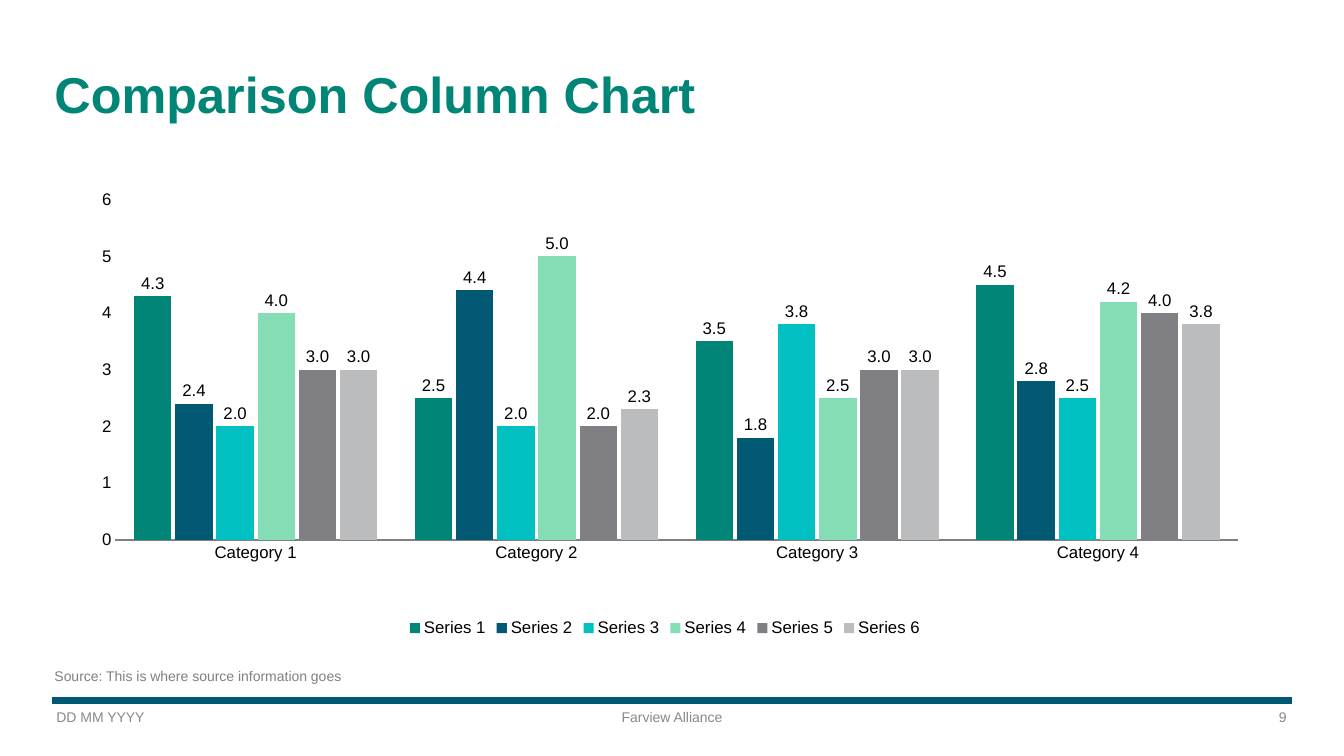
"""Build the Comparison Column Chart slide."""
import pptx
import pptx.chart.data
import pptx.dml.color
import pptx.enum.chart
import pptx.enum.shapes
import pptx.enum.text
import pptx.oxml
import pptx.oxml.ns
import pptx.util

Inches = pptx.util.Inches
Pt = pptx.util.Pt
RGB = pptx.dml.color.RGBColor.from_string
ALIGN = pptx.enum.text.PP_ALIGN
ANCHOR = pptx.enum.text.MSO_ANCHOR
XL = pptx.enum.chart

THEME = {
    "font": "Arial",
    "title": "008576",
    "rule": "005872",
    "footer": "898989",
    "source": "807F83",
    "axis": "808080",
    "chart_text": "000000",
    "series": ["008576", "005872", "00C0C2", "85DDB5", "807F83", "BABCBE"],
    "title_size": 36,
    "chart_size": 12,
    "small_size": 10,
}


def set_font(font, size, color, bold=False):
    values = {"name": THEME["font"], "size": Pt(size), "bold": bold}
    for name, value in values.items():
        setattr(font, name, value)
    font.color.rgb = RGB(color)


def add_text(s, text, box, size, color, align=ALIGN.LEFT, anchor=ANCHOR.TOP,
             insets=(0.05, 0.05, 0.05, 0.05), bold=False, spacing=1.0):
    tf = s.shapes.add_textbox(*map(Inches, box)).text_frame
    left, top, right, bottom = map(Inches, insets)
    frame_format = {
        "word_wrap": True, "vertical_anchor": anchor,
        "margin_left": left, "margin_top": top,
        "margin_right": right, "margin_bottom": bottom,
    }
    for name, value in frame_format.items():
        setattr(tf, name, value)
    p = tf.paragraphs[0]
    p.alignment = align
    p.line_spacing = spacing
    r = p.add_run()
    r.text = text
    set_font(r.font, size, color, bold)


prs = pptx.Presentation()
prs.slide_width = Inches(13.33)
prs.slide_height = Inches(7.5)
s = prs.slides.add_slide(prs.slide_layouts[6])

footers = [
    ("DD MM YYYY", 0.51, ALIGN.LEFT),
    ("Farview Alliance", 5.02, ALIGN.CENTER),
    ("9", 9.52, ALIGN.RIGHT),
]
for text, left, align in footers:
    add_text(s, text, (left, 6.98, 3.29, 0.27), THEME["small_size"],
             THEME["footer"], align)

rule = s.shapes.add_connector(
    pptx.enum.shapes.MSO_CONNECTOR.STRAIGHT,
    Inches(0.52), Inches(6.95), Inches(12.81), Inches(6.95))
rule.line.color.rgb = RGB(THEME["rule"])
rule.line.width = Pt(5.5)
pptx.oxml.ns.qn("a:effectLst")
rule._element.spPr.append(pptx.oxml.parse_xml(
    f"<a:effectLst {pptx.oxml.ns.nsdecls('a')}/>"))

add_text(s, "Comparison Column Chart", (0.49, 0.19, 12.29, 1.1),
         THEME["title_size"], THEME["title"], anchor=ANCHOR.BOTTOM,
         bold=True, spacing=0.95)

data = pptx.chart.data.CategoryChartData(number_format="General")
data.categories = [f"Category {n}" for n in range(1, 5)]
series_values = [
    (4.3, 2.5, 3.5, 4.5),
    (2.4, 4.4, 1.8, 2.8),
    (2, 2, 3.8, 2.5),
    (4, 5, 2.5, 4.2),
    (3, 2, 3, 4),
    (3, 2.3, 3, 3.8),
]
for n, values in enumerate(series_values, 1):
    data.add_series(f"Series {n}", values)

chart = s.shapes.add_chart(
    XL.XL_CHART_TYPE.COLUMN_CLUSTERED,
    Inches(0.67), Inches(1.8), Inches(11.85), Inches(4.56), data).chart
set_font(chart.font, THEME["chart_size"], THEME["chart_text"])
chart.has_title = False
chart.has_legend = True
chart.legend.position = XL.XL_LEGEND_POSITION.BOTTOM
chart.legend.include_in_layout = False

plot = chart.plots[0]
plot_format = {"gap_width": 100, "overlap": -10,
               "vary_by_categories": False, "has_data_labels": True}
for name, value in plot_format.items():
    setattr(plot, name, value)
label_format = {"show_value": True, "number_format": "#,##0.0",
                "number_format_is_linked": False,
                "position": XL.XL_LABEL_POSITION.OUTSIDE_END}
for name, value in label_format.items():
    setattr(plot.data_labels, name, value)
for series, color in zip(plot.series, THEME["series"]):
    series.format.fill.solid()
    series.format.fill.fore_color.rgb = RGB(color)

for axis in (chart.category_axis, chart.value_axis):
    axis.has_major_gridlines = False
    axis.major_tick_mark = XL.XL_TICK_MARK.NONE
    axis.minor_tick_mark = XL.XL_TICK_MARK.NONE
chart.category_axis.format.line.color.rgb = RGB(THEME["axis"])
chart.category_axis.format.line.width = Pt(1.75)
chart.value_axis.format.line.fill.background()
scale = {"minimum_scale": 0, "maximum_scale": 6, "major_unit": 1}
for name, value in scale.items():
    setattr(chart.value_axis, name, value)

plot_area = chart._chartSpace.chart.plotArea
for layout in plot_area.findall(pptx.oxml.ns.qn("c:layout")):
    plot_area.remove(layout)
plot_area.insert(0, pptx.oxml.parse_xml(
    f"<c:layout {pptx.oxml.ns.nsdecls('c')}><c:manualLayout>"
    '<c:layoutTarget val="inner"/><c:xMode val="edge"/><c:yMode val="edge"/>'
    '<c:x val="0.04"/><c:y val="0.04"/><c:w val="0.94"/><c:h val="0.74"/>'
    "</c:manualLayout></c:layout>"))

add_text(s, "Source: This is where source information goes",
         (0.54, 6.55, 4.85, 0.3), THEME["small_size"], THEME["source"],
         insets=(0, 0.07, 0.13, 0.07))

prs.save("out.pptx")
